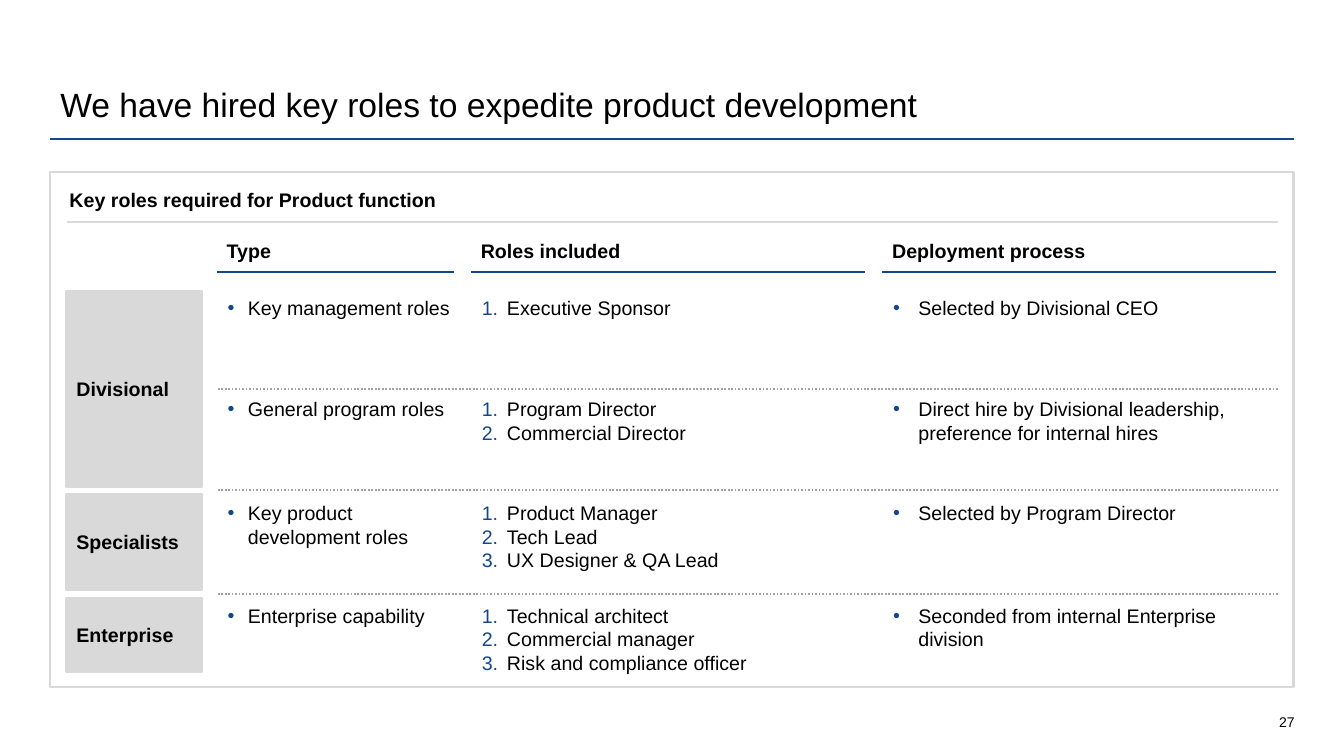
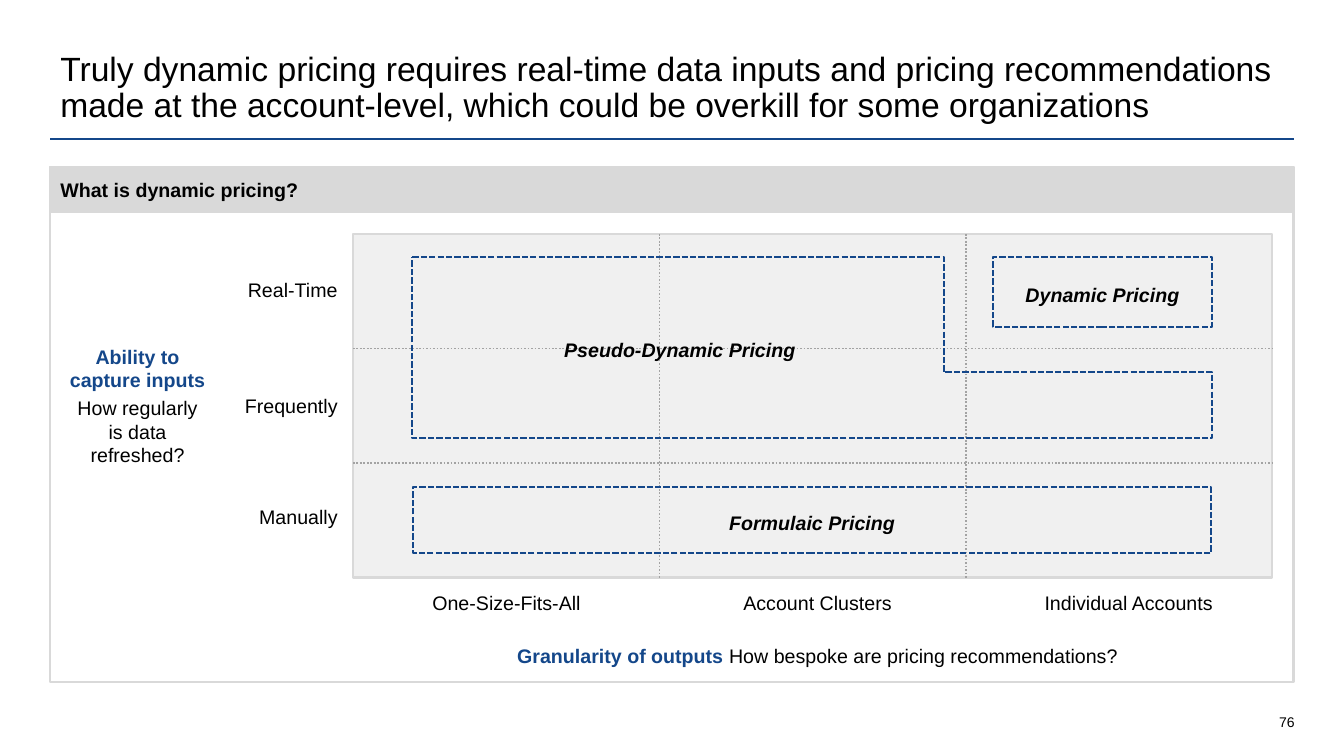
from collections import namedtuple

from lxml.etree import SubElement
from pptx import Presentation
from pptx.dml.color import RGBColor
from pptx.enum.dml import MSO_LINE as Dash
from pptx.enum.shapes import MSO_CONNECTOR, MSO_SHAPE
from pptx.enum.text import MSO_ANCHOR as Anchor, PP_ALIGN as Align
from pptx.oxml.ns import qn
from pptx.util import Inches, Pt

WIDTH, HEIGHT = 13.33, 7.5
LEFT, CONTENT_WIDTH = 0.5, 12.33
RIGHT = LEFT + CONTENT_WIDTH
PANEL_HEIGHT = 5.11

FONT = "Arial"
BLACK, BLUE, SILVER = "000000", "14478A", "D9D9D9"
WHITE, PALE, GREY = "FFFFFF", "F0F0F0", "A3A3A3"

INSETS = (0.1, 0.05, 0.1, 0.05)
CELL_INSETS = (0.1, 0.05, 0, 0.05)

Run = namedtuple("Run", "text bold italic color size",
                 defaults=(False, False, BLACK, 14))
Bullet = namedtuple("Bullet", "tag attribute value indent")

NARROW_DOT = Bullet("a:buChar", "char", "•", 0.2)
WIDE_DOT = Bullet("a:buChar", "char", "•", 0.25)
NUMBER = Bullet("a:buAutoNum", "type", "arabicPeriod", 0.25)


def rgb(color):
    return RGBColor.from_string(color)


def style_line(line, color, width=1.5, dash=None):
    line.color.rgb = rgb(color)
    line.width = Pt(width)
    if dash:
        line.dash_style = dash


def add_bullet(paragraph, bullet):
    properties = paragraph._p.get_or_add_pPr()
    properties.set("marL", str(Inches(bullet.indent)))
    properties.set("indent", str(-Inches(bullet.indent)))
    bullet_color = SubElement(properties, qn("a:buClr"))
    SubElement(bullet_color, qn("a:srgbClr")).set("val", BLUE)
    SubElement(properties, qn("a:buFont")).set("typeface", FONT)
    SubElement(properties, qn(bullet.tag)).set(bullet.attribute, bullet.value)


def write(shape, paragraphs, align=Align.LEFT, anchor=Anchor.MIDDLE,
          insets=INSETS, spacing=None, after=0, bullet=None):
    """Fill a shape with paragraphs, each one a list of runs."""
    frame = shape.text_frame
    frame.word_wrap = True
    frame.vertical_anchor = anchor
    (frame.margin_left, frame.margin_top,
     frame.margin_right, frame.margin_bottom) = map(Inches, insets)
    for index, runs in enumerate(paragraphs):
        paragraph = frame.add_paragraph() if index else frame.paragraphs[0]
        paragraph.alignment = align
        paragraph.space_after = Pt(after)
        if spacing:
            paragraph.line_spacing = spacing
        if bullet:
            add_bullet(paragraph, bullet)
        for item in runs:
            run = paragraph.add_run()
            run.text = item.text
            font = run.font
            font.name, font.size = FONT, Pt(item.size)
            font.bold, font.italic = item.bold, item.italic
            font.color.rgb = rgb(item.color)


def add_text(slide, area, paragraphs, **layout):
    write(slide.shapes.add_textbox(*map(Inches, area)), paragraphs, **layout)


def style_shape(shape, fill, line, dash=None):
    shape.shadow.inherit = False
    if fill:
        shape.fill.solid()
        shape.fill.fore_color.rgb = rgb(fill)
    else:
        shape.fill.background()
    style_line(shape.line, line, dash=dash)


def add_box(slide, area, fill=None, line=SILVER, dash=None):
    shape = slide.shapes.add_shape(MSO_SHAPE.RECTANGLE, *map(Inches, area))
    style_shape(shape, fill, line, dash)
    return shape


def add_cell(slide, area, paragraphs, fill=WHITE, **layout):
    """Add a white-edged box of text."""
    write(add_box(slide, area, fill, WHITE), paragraphs,
          insets=CELL_INSETS, **layout)


def add_rule(slide, start, end, color=BLUE, width=1.5, dash=None):
    rule = slide.shapes.add_connector(
        MSO_CONNECTOR.STRAIGHT, *map(Inches, (*start, *end)))
    style_line(rule.line, color, width, dash)
    SubElement(rule._element.spPr, qn("a:effectLst"))


def add_dotted_rule(slide, start, end):
    add_rule(slide, start, end, GREY, 1.25, Dash.ROUND_DOT)


def add_heading(slide, left, top, width, text):
    add_text(slide, (left, top, width, 0.36), [[Run(text, bold=True)]],
             anchor=Anchor.TOP, spacing=1.2)


def add_framed_slide(presentation, title, number, panel_top):
    """Add a slide with the shared title, rule, page number and panel."""
    slide = presentation.slides.add_slide(presentation.slide_layouts[6])
    add_rule(slide, (LEFT, 1.38), (RIGHT, 1.38))
    add_text(slide, (LEFT, 0.4, CONTENT_WIDTH, 0.89), [[Run(title, size=24)]],
             anchor=Anchor.BOTTOM, spacing=0.9)
    add_text(slide, (12.2, 6.92, 0.64, 0.33), [[Run(number, size=10)]],
             align=Align.RIGHT, anchor=Anchor.BOTTOM, insets=(0, 0, 0, 0))
    add_box(slide, (LEFT, panel_top, CONTENT_WIDTH, PANEL_HEIGHT), WHITE)
    return slide


def add_roles_slide(presentation):
    slide = add_framed_slide(
        presentation, "We have hired key roles to expedite product development",
        "27", 1.71)
    add_heading(slide, 0.59, 1.77, 5.49, "Key roles required for Product function")
    add_rule(slide, (0.66, 2.2), (12.68, 2.2), SILVER)

    columns = [("Type", 2.15, 2.35, NARROW_DOT),
               ("Roles included", 4.67, 3.91, NUMBER),
               ("Deployment process", 8.75, 3.91, WIDE_DOT)]
    for name, left, width, _ in columns:
        add_heading(slide, left, 2.27, width, name)
        add_rule(slide, (left, 2.7), (left + width, 2.7))

    rows = [
        (2.89, 0.94, ["Key management roles"], ["Executive Sponsor"],
         ["Selected by Divisional CEO"]),
        (3.89, 0.94, ["General program roles"],
         ["Program Director", "Commercial Director"],
         ["Direct hire by Divisional leadership, preference for internal hires"]),
        (4.92, 0.94, ["Key product development roles"],
         ["Product Manager", "Tech Lead", "UX Designer & QA Lead"],
         ["Selected by Program Director"]),
        (5.94, 0.73, ["Enterprise capability"],
         ["Technical architect", "Commercial manager",
          "Risk and compliance officer"],
         ["Seconded from internal Enterprise division"]),
    ]
    for top, height, *cells in rows:
        for (_, left, width, bullet), lines in zip(columns, cells):
            add_cell(slide, (left + 0.01, top, width, height),
                     [[Run(line)] for line in lines],
                     anchor=Anchor.TOP, bullet=bullet)
    for y in (3.86, 4.86, 5.89):
        add_dotted_rule(slide, (2.16, y), (12.68, y))

    for name, top, height in [("Divisional", 2.89, 1.94),
                              ("Specialists", 4.9, 0.95),
                              ("Enterprise", 5.93, 0.74)]:
        write(add_box(slide, (0.66, top, 1.34, height), SILVER),
              [[Run(name, bold=True)]])


def add_pricing_matrix(slide, left, top, width, height):
    right, bottom = left + width, top + height
    add_box(slide, (left, top, width, height), PALE)
    for third in (1, 2):
        x, y = left + width * third / 3, top + height * third / 3
        add_dotted_rule(slide, (x, top), (x, bottom))
        add_dotted_rule(slide, (left, y), (right, y))

    for name, label_top in [("Real-Time", 2.57), ("Frequently", 3.72),
                            ("Manually", 4.83)]:
        add_cell(slide, (2.04, label_top, 1.31, 0.6), [[Run(name)]],
                 align=Align.RIGHT, after=3)
    names = ["One-Size-Fits-All", "Account Clusters", "Individual Accounts"]
    for index, name in enumerate(names):
        add_cell(slide, (3.95 + 3.085 * index, bottom + 0.09, 2.05, 0.32),
                 [[Run(name)]], align=Align.CENTER, after=3)


def add_outline(slide, points):
    start, *others = [tuple(map(Inches, point)) for point in points]
    builder = slide.shapes.build_freeform(*start)
    builder.add_line_segments(others, close=True)
    shape = builder.convert_to_shape()
    style_shape(shape, None, BLUE, Dash.SQUARE_DOT)
    return shape


def label_zone(shape, name, right_inset=0.1):
    write(shape, [[Run(name, bold=True, italic=True)]], align=Align.CENTER,
          insets=(0.1, 0.12, right_inset, 0.12), spacing=1.2)


def add_pricing_slide(presentation):
    slide = add_framed_slide(
        presentation,
        "Truly dynamic pricing requires real-time data inputs and pricing "
        "recommendations made at the account-level, which could be overkill "
        "for some organizations", "76", 1.66)
    matrix_left, matrix_top, matrix_width, matrix_height = 3.5, 2.32, 9.12, 3.41

    axis = {"fill": None, "align": Align.CENTER, "after": 3}
    add_cell(slide, (0.59, matrix_top, 1.45, matrix_height),
             [[Run("Ability to capture inputs", bold=True, color=BLUE)],
              [Run("How regularly is data refreshed?")]], **axis)
    add_cell(slide, (matrix_left, 6.28, matrix_width, 0.44),
             [[Run("Granularity of outputs ", bold=True, color=BLUE),
               Run("How bespoke are pricing recommendations?")]], **axis)

    add_pricing_matrix(slide, matrix_left, matrix_top, matrix_width, matrix_height)
    write(add_box(slide, (LEFT, 1.66, CONTENT_WIDTH, 0.44), SILVER),
          [[Run("What is dynamic pricing?", bold=True)]])

    for name, area in [("Formulaic Pricing", (4.1, 4.83, 7.91, 0.66)),
                       ("Dynamic Pricing", (9.85, 2.55, 2.17, 0.69))]:
        label_zone(add_box(slide, area, line=BLUE, dash=Dash.SQUARE_DOT), name)
    stepped_zone = add_outline(slide, [
        (4.09, 2.55), (9.36, 2.55), (9.36, 3.69),
        (12.02, 3.69), (12.02, 4.35), (4.09, 4.35)])
    label_zone(stepped_zone, "Pseudo-Dynamic Pricing", right_inset=2.72)


def main():
    presentation = Presentation()
    presentation.slide_width = Inches(WIDTH)
    presentation.slide_height = Inches(HEIGHT)
    add_roles_slide(presentation)
    add_pricing_slide(presentation)
    presentation.save("out.pptx")


if __name__ == "__main__":
    main()
